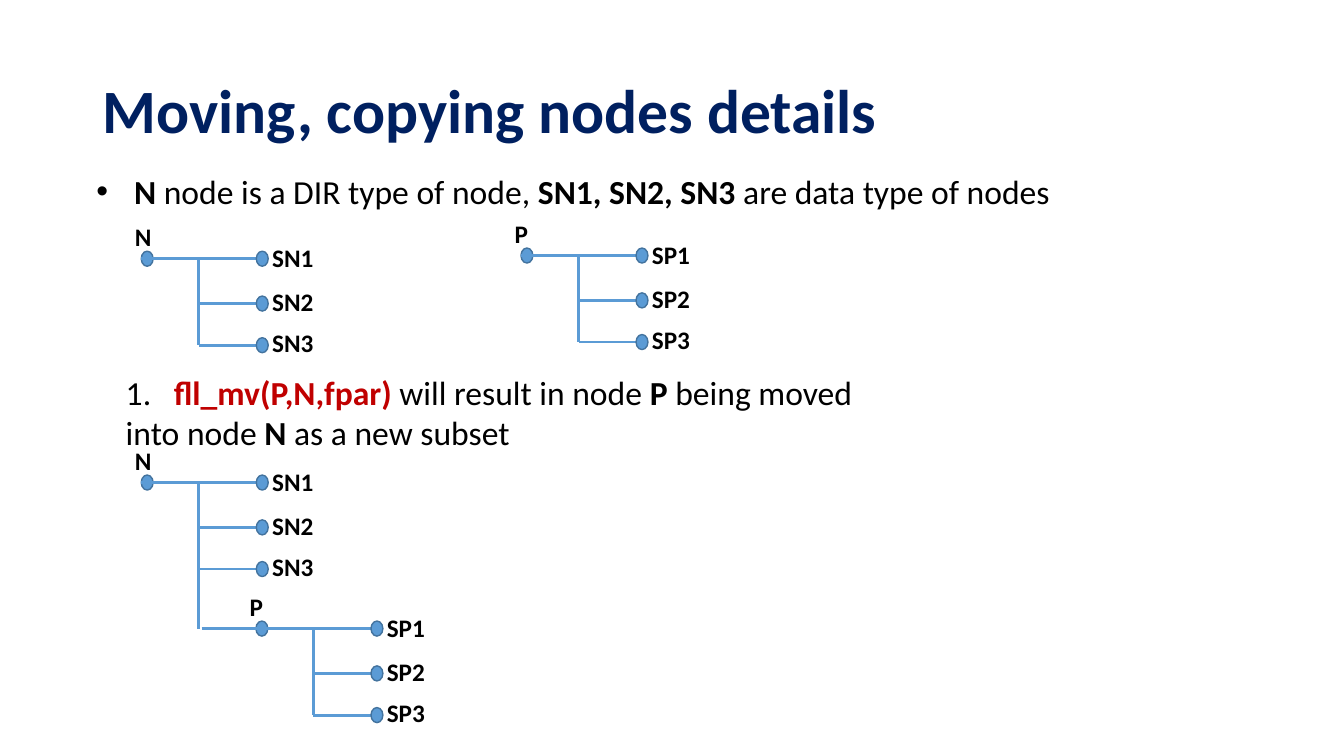
from dataclasses import dataclass

from lxml.etree import SubElement
from pptx import Presentation
from pptx.dml.color import RGBColor
from pptx.enum.shapes import MSO_CONNECTOR as Link, MSO_SHAPE as Form
from pptx.enum.text import MSO_ANCHOR as Anchor, MSO_AUTO_SIZE as Fit, PP_ALIGN as Align
from pptx.oxml.ns import qn
from pptx.util import Cm, Pt

FONT = "Calibri"
BLACK, NAVY, RED = "000000", "002060", "C00000"
BLUE, EDGE = "5B9BD5", "43739E"
DOT_W, DOT_H = 0.3, 0.38
SPAN = 2.9  # from a parent dot to its child dots
ROWS = (0, 1.13, 2.18)  # child dots below the parent
TAGS = (-0.53, 0.58, 1.6)  # child label tops below the parent


@dataclass
class Tree:
    name: str
    kids: str
    left: float
    mid: float
    trunk: float = ROWS[-1]


@dataclass
class Run:
    text: str
    bold: bool = False
    color: str = BLACK


TREES = (
    Tree("N", "SN", 3.56, 6.52),
    Tree("P", "SP", 13.13, 6.44),
    Tree("N", "SN", 3.56, 12.16, 3.68),
    Tree("P", "SP", 6.45, 15.84),
)
INTRO = (
    Run("N", True),
    Run(" node is a DIR type of node, "),
    Run("SN1, SN2, SN3 ", True),
    Run("are data type of nodes"),
)
MOVE = (
    Run("1.\t"),
    Run("fll_mv(P,N,fpar)", True, RED),
    Run(" will result in node "),
    Run("P", True),
    Run(" being moved"),
)
INTO = (Run("into node "), Run("N", True), Run(" as a new subset"))


def rgb(code: str) -> RGBColor:
    return RGBColor.from_string(code)


def write(para, runs, size: int) -> None:
    for item in runs:
        run = para.add_run()
        run.text = item.text
        font = run.font
        font.name, font.size, font.bold = FONT, Pt(size), item.bold
        font.color.rgb = rgb(item.color)


def add_text(slide, left: float, top: float, width: float, height: float,
             runs, size: int):
    """Add a text box and return its paragraph."""
    box = slide.shapes.add_textbox(Cm(left), Cm(top), Cm(width), Cm(height))
    box.text_frame.word_wrap = True
    para = box.text_frame.paragraphs[0]
    write(para, runs, size)
    return para


def add_line(slide, x1: float, y1: float, x2: float, y2: float) -> None:
    line = slide.shapes.add_connector(Link.STRAIGHT, Cm(x1), Cm(y1), Cm(x2), Cm(y2))
    line.line.color.rgb = rgb(BLUE)
    line.line.width = Pt(2)
    SubElement(line._element.spPr, qn("a:effectLst"))


def add_dot(slide, left: float, mid: float) -> None:
    dot = slide.shapes.add_shape(
        Form.OVAL, Cm(left), Cm(mid - DOT_H / 2), Cm(DOT_W), Cm(DOT_H))
    dot.shadow.inherit = False
    dot.fill.solid()
    dot.fill.fore_color.rgb = rgb(BLUE)
    dot.line.color.rgb = rgb(EDGE)
    dot.line.width = Pt(1)


def add_tree(slide, tree: Tree) -> None:
    left, mid = tree.left, tree.mid
    stem, tip = left + SPAN / 2, left + SPAN
    add_dot(slide, left, mid)
    add_line(slide, left, mid, stem, mid)
    add_line(slide, stem, mid, stem, mid + tree.trunk)
    add_text(slide, left - 0.41, mid - 1.06, 0.9, 1.02, [Run(tree.name, True)], 18)
    for num, (row, tag) in enumerate(zip(ROWS, TAGS), 1):
        add_line(slide, stem, mid + row, tip, mid + row)
        add_dot(slide, tip, mid + row)
        add_text(slide, tip + 0.15, mid + tag, 1.78, 1.02,
                 [Run(f"{tree.kids}{num}", True)], 18)


def add_title(slide) -> None:
    title = slide.shapes.title
    title.left, title.top = Cm(2.34), Cm(1.02)
    title.width, title.height = Cm(29.2), Cm(3.68)
    frame = title.text_frame
    frame.auto_size, frame.vertical_anchor = Fit.NONE, Anchor.MIDDLE
    para = frame.paragraphs[0]
    para.alignment, para.line_spacing = Align.LEFT, 0.9
    write(para, [Run("Moving, copying nodes details", True, NAVY)], 44)


def add_intro(slide) -> None:
    props = add_text(slide, 2.18, 4.19, 25.4, 1.27, INTRO, 24)._p.get_or_add_pPr()
    props.set("marL", str(Cm(0.95)))
    props.set("indent", str(Cm(-0.95)))
    SubElement(props, qn("a:buFont"), typeface="Arial")
    SubElement(props, qn("a:buChar"), char="•")


def add_step(slide) -> None:
    para = add_text(slide, 2.92, 9.25, 25.4, 2.31, MOVE, 24)
    para.add_line_break()
    write(para, INTO, 24)
    tabs = SubElement(para._p.get_or_add_pPr(), qn("a:tabLst"))
    SubElement(tabs, qn("a:tab"), pos=str(Cm(1.21)), algn="l")


def main() -> None:
    deck = Presentation()
    deck.slide_width, deck.slide_height = Cm(33.87), Cm(19.05)
    slide = deck.slides.add_slide(deck.slide_layouts[5])
    add_title(slide)
    add_intro(slide)
    add_step(slide)
    for tree in TREES:
        add_tree(slide, tree)
    add_line(slide, 5.08, 15.84, 6.55, 15.84)
    deck.save("out.pptx")


if __name__ == "__main__":
    main()
